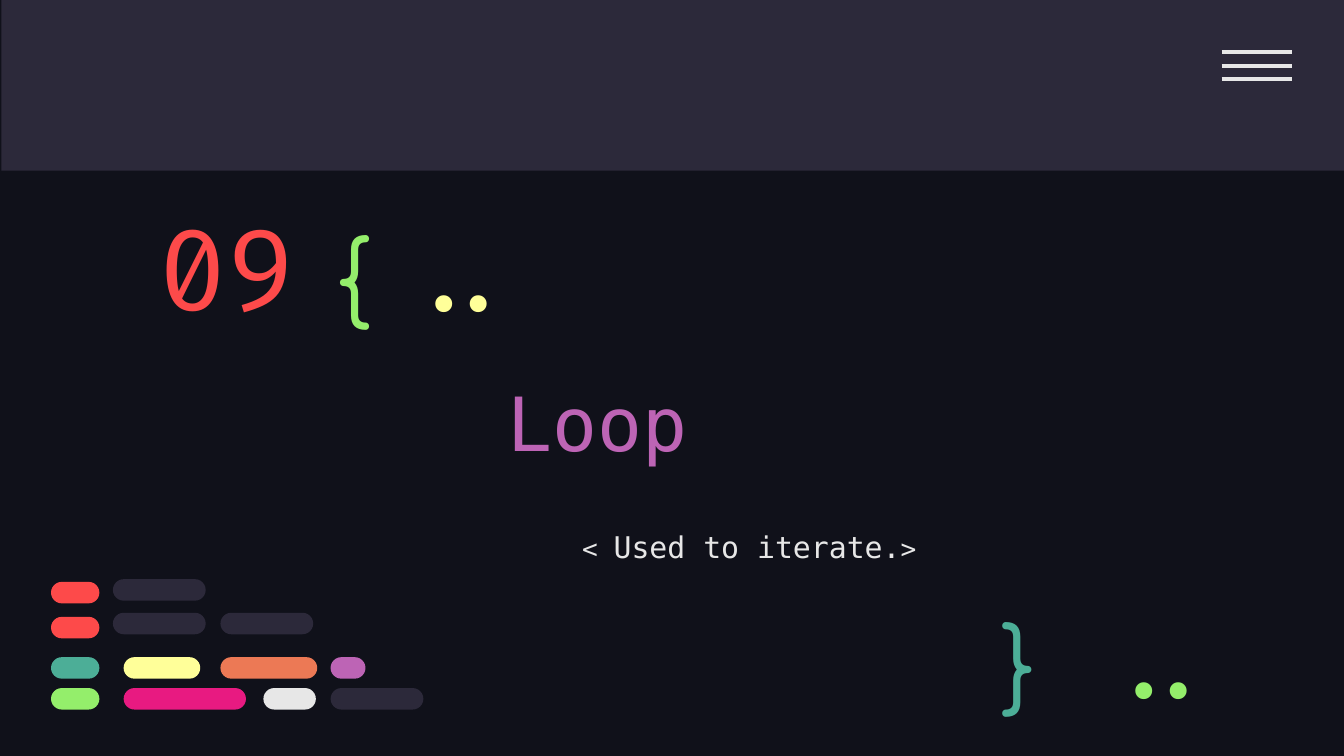
from pptx import Presentation
from pptx import util as u
from pptx.dml.color import RGBColor
from pptx.enum import shapes, text
from pptx.oxml.ns import qn
from lxml import etree

# Square grid: 100 columns across the slide, 56.25 rows down
W, H = u.Inches(10), u.Inches(5.625)
COLS = 100

NIGHT = RGBColor(0x10, 0x11, 0x1A)
SLATE = RGBColor(0x2C, 0x29, 0x3A)
WHITE = RGBColor(0xE7, 0xE7, 0xE7)
RED = RGBColor(0xFD, 0x4A, 0x4A)
GREEN = RGBColor(0x94, 0xEE, 0x6B)
TEAL = RGBColor(0x4C, 0xAE, 0x97)
YELLOW = RGBColor(0xFF, 0xFF, 0x99)
ORANGE = RGBColor(0xEC, 0x79, 0x55)
PURPLE = RGBColor(0xBD, 0x64, 0xB5)
PINK = RGBColor(0xE8, 0x1A, 0x81)

MONO, CODE, ROUND = "DejaVu Sans Mono", "Fira Code", "Comfortaa"
TOP, MIDDLE = text.MSO_ANCHOR.TOP, text.MSO_ANCHOR.MIDDLE
LEFT, CENTER, RIGHT = text.PP_ALIGN.LEFT, text.PP_ALIGN.CENTER, text.PP_ALIGN.RIGHT

# Code bars: row -> (column, width, colour)
PILL_HEIGHT = 1.6
PILL_ROWS = {
    43.3: [(3.8, 3.6, RED)],
    43.1: [(8.4, 6.9, SLATE)],
    45.9: [(3.8, 3.6, RED)],
    45.6: [(8.4, 6.9, SLATE), (16.4, 6.9, SLATE)],
    48.9: [(3.8, 3.6, TEAL), (9.2, 5.7, YELLOW), (16.4, 7.2, ORANGE), (24.6, 2.6, PURPLE)],
    51.2: [(3.8, 3.6, GREEN), (9.2, 9.1, PINK), (19.6, 3.9, WHITE), (24.6, 6.9, SLATE)],
}


def grid(*units):
    return [round(n * W / COLS) for n in units]


def add_block(parent, kind, box, color):
    sp = parent.shapes.add_shape(kind, *grid(*box))
    sp.shadow.inherit = False
    sp.fill.solid()
    sp.fill.fore_color.rgb = color
    sp.line.fill.background()
    return sp


def add_rule(parent, left, right, row):
    sp = parent.shapes.add_connector(shapes.MSO_CONNECTOR.STRAIGHT, *grid(left, row, right, row))
    sp.line.color.rgb = WHITE
    sp.line.width = u.Pt(2.25)
    etree.SubElement(sp._element.spPr, qn("a:effectLst"))


def add_label(s, box, runs, font, color, anchor=TOP, align=LEFT):
    """Add a one-paragraph text box; runs are (wording, size) pairs."""
    tf = s.shapes.add_textbox(*grid(*box)).text_frame
    tf.word_wrap = True
    tf.vertical_anchor = anchor
    tf.margin_left = tf.margin_right = tf.margin_top = tf.margin_bottom = u.Inches(0.1)
    p = tf.paragraphs[0]
    p.alignment = align
    for wording, size in runs:
        r = p.add_run()
        r.text = wording
        r.font.name = font
        r.font.size = u.Pt(size)
        r.font.color.rgb = color
    return p


def add_header(s):
    add_block(s, shapes.MSO_SHAPE.RECTANGLE, (0.1, 0, COLS, 12.7), SLATE)
    menu = s.shapes.add_group_shape()
    for i in range(3):
        add_rule(menu, 90.9, 96.1, 3.9 + i)


def add_pills(s):
    group = s.shapes.add_group_shape()
    for row, pills in PILL_ROWS.items():
        for left, width, color in pills:
            sp = add_block(group, shapes.MSO_SHAPE.ROUNDED_RECTANGLE,
                           (left, row, width, PILL_HEIGHT), color)
            sp.adjustments[0] = 0.5


def main():
    prs = Presentation()
    prs.slide_width, prs.slide_height = W, H
    s = prs.slides.add_slide(prs.slide_layouts[6])
    s.background.fill.solid()
    s.background.fill.fore_color.rgb = NIGHT

    add_header(s)

    # Title, indented by 20 columns, and section number
    p = add_label(s, (16.8, 24.8, 72.6, 13.1), [("Loop", 40)], MONO, PURPLE, MIDDLE)
    p._p.get_or_add_pPr().set("marL", str(grid(20)[0]))
    add_label(s, (10.8, 14.8, 18.1, 10), [("09", 60)], CODE, RED, MIDDLE)

    # Subtitle
    p = add_label(s, (22.7, 37.9, 66.1, 3.1),
                  [("< ", 14), ("Used to iterate.", 16), (">", 14)], MONO, WHITE, align=CENTER)
    p.line_spacing = 1.15

    # Braces and dots
    add_label(s, (24, 15, 7.7, 9.5), [("{", 50)], ROUND, GREEN)
    add_label(s, (73.5, 43.8, 5.7, 8.3), [("}", 50)], ROUND, TEAL)
    for left, top, color in [(81, 46.2, GREEN), (28.9, 17.4, YELLOW)]:
        add_label(s, (left, top, 10.7, 6), [("..", 50)], CODE, color, MIDDLE, RIGHT)

    add_pills(s)
    prs.save("out.pptx")


if __name__ == "__main__":
    main()
